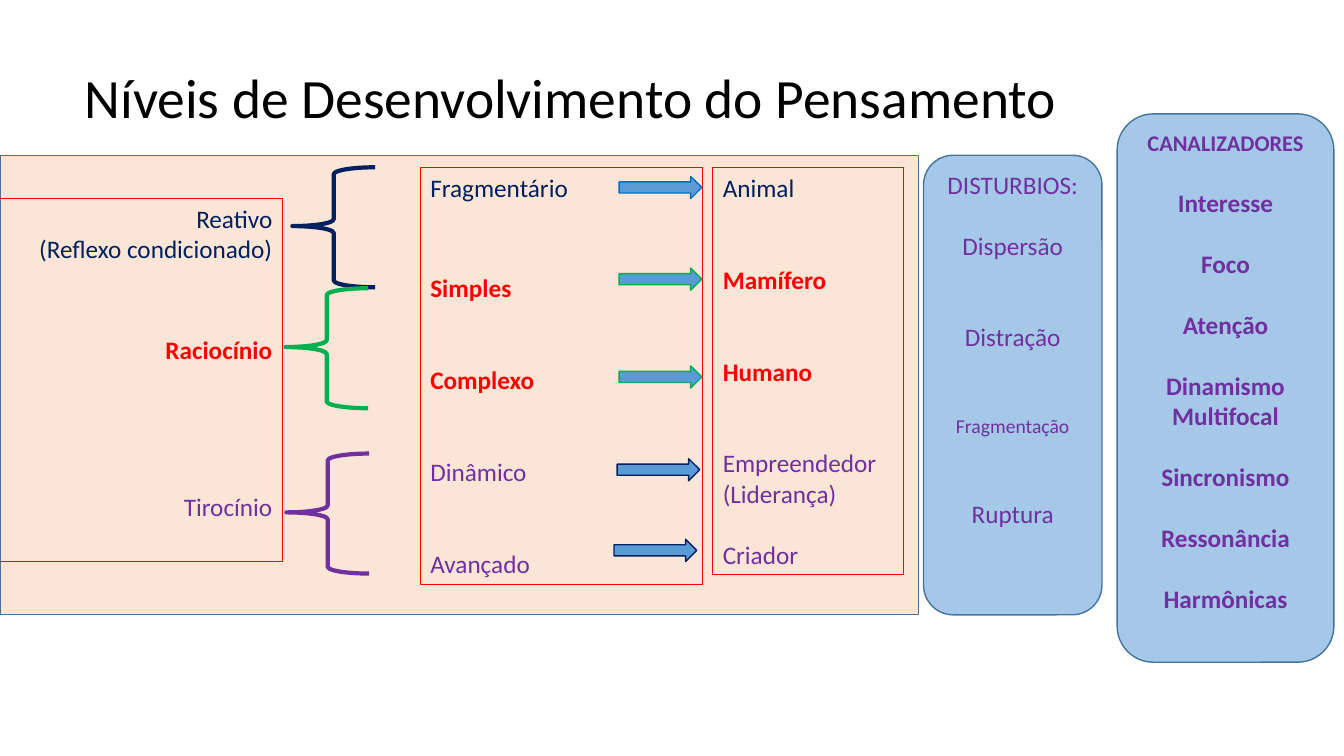
import pptx
import pptx.util
import pptx.dml.color
import pptx.enum.shapes
import pptx.enum.text
import pptx.oxml.ns
import lxml.etree

Inches = pptx.util.Inches
Pt = pptx.util.Pt
SHAPE = pptx.enum.shapes.MSO_SHAPE
ALIGN = pptx.enum.text.PP_ALIGN
ANCHOR = pptx.enum.text.MSO_ANCHOR

COLORS = {
    "black": "000000", "peach": "FBE5D6", "blue": "5B9BD5", "edge": "43739E",
    "red": "FF0000", "navy": "002060", "purple": "7030A0",
    "green": "00B050", "sky": "0070C0",
}
LINE = 22

LEVELS = [
    ("Reativo", "navy", 0), ("(Reflexo condicionado)", "navy", 0),
    ("Raciocínio", "red", 50), ("Tirocínio", "purple", 91),
]
THOUGHTS = [
    ("Fragmentário", "navy", 0), ("Simples", "red", 50),
    ("Complexo", "red", 2 * LINE), ("Dinâmico", "purple", 2 * LINE),
    ("Avançado", "purple", 2 * LINE),
]
STAGES = [
    ("Animal", "navy", 0), ("Mamífero", "red", 2 * LINE),
    ("Humano", "red", 2 * LINE), ("Empreendedor", "purple", 2 * LINE),
    ("(Liderança)", "purple", 0), ("Criador", "purple", LINE),
]
DISTURBANCES = [
    ("DISTURBIOS:", "purple", 0), ("Dispersão", "purple", LINE),
    ("Distração", "purple", 2 * LINE), ("Fragmentação", "purple", 2 * LINE),
    ("Ruptura", "purple", 2 * LINE),
]
CHANNELS = [
    ("CANALIZADORES", "purple", 0), ("Interesse", "purple", LINE),
    ("Foco", "purple", LINE), ("Atenção", "purple", LINE),
    ("Dinamismo", "purple", LINE), ("Multifocal", "purple", 0),
    ("Sincronismo", "purple", LINE), ("Ressonância", "purple", LINE),
    ("Harmônicas", "purple", LINE),
]
SMALL_SIZES = {"Fragmentação": 14, "CANALIZADORES": 16}
BRACES = [(2.9, 1.66, "navy"), (2.83, 2.86, "green"), (2.84, 4.5, "purple")]
ARROWS = [
    (6.14, 1.75, "sky"), (6.14, 2.66, "green"), (6.14, 3.63, "green"),
    (6.12, 4.55, "navy"), (6.09, 5.35, "navy"),
]


def rgb(name):
    """Return the named colour."""
    return pptx.dml.color.RGBColor.from_string(COLORS[name])


def format_run(r, size, color, bold=False):
    """Set the font of a run."""
    r.font.name = "Calibri"
    r.font.size = Pt(size)
    r.font.bold = bold
    r.font.color.rgb = rgb(color)


def add_title(s, text):
    """Place and format the slide title."""
    sp = s.shapes.title
    sp.left, sp.top = Inches(0.74), Inches(0.67)
    sp.width, sp.height = Inches(9.97), Inches(0.65)
    tf = sp.text_frame
    tf.text = text
    tf.auto_size = pptx.enum.text.MSO_AUTO_SIZE.NONE
    tf.vertical_anchor = ANCHOR.MIDDLE
    p = tf.paragraphs[0]
    p.alignment = ALIGN.LEFT
    p.line_spacing = 0.9
    format_run(p.runs[0], 39.6, "black")


def add_figure(s, kind, box, line, width, fill=None, alpha=None):
    """Add an outlined preset shape with an optional fill."""
    sp = s.shapes.add_shape(kind, *map(Inches, box))
    sp.shadow.inherit = False
    sp.line.color.rgb = rgb(line)
    sp.line.width = Pt(width)
    if fill is None:
        sp.fill.background()
        return sp
    sp.fill.solid()
    sp.fill.fore_color.rgb = rgb(fill)
    if alpha is not None:
        qn = pptx.oxml.ns.qn
        clr = sp._element.spPr.find(qn("a:solidFill")).find(qn("a:srgbClr"))
        lxml.etree.SubElement(clr, qn("a:alpha")).set("val", str(alpha * 1000))
    return sp


def write_entries(sp, entries, align, all_bold=False):
    """Write spaced coloured entries from the top of a shape."""
    tf = sp.text_frame
    tf.word_wrap = True
    tf.vertical_anchor = ANCHOR.TOP
    tf.text = "\n".join(text for text, color, gap in entries)
    for p, (text, color, gap) in zip(tf.paragraphs, entries):
        p.alignment = align
        if gap:
            p.space_before = Pt(gap)
        format_run(p.runs[0], SMALL_SIZES.get(text, 18), color,
                   all_bold or color == "red")


def add_column(s, box, entries, align=ALIGN.LEFT):
    """Add a red-framed column of entries."""
    sp = add_figure(s, SHAPE.RECTANGLE, box, "red", 0.75)
    write_entries(sp, entries, align)


def add_card(s, box, entries, bold=False):
    """Add a translucent rounded card of centred entries."""
    sp = add_figure(s, SHAPE.ROUNDED_RECTANGLE, box, "edge", 1, "blue", 54)
    write_entries(sp, entries, ALIGN.CENTER, bold)


def add_brace(s, left, top, color):
    """Add a left brace."""
    sp = add_figure(s, SHAPE.LEFT_BRACE, (left, top, 0.82, 1.19), color, 3)
    sp.adjustments[0] = 0.083
    sp.adjustments[1] = 0.49


def main():
    """Build the slide and save it."""
    prs = pptx.Presentation()
    prs.slide_width, prs.slide_height = Inches(13.33), Inches(7.5)
    s = prs.slides.add_slide(prs.slide_layouts[5])
    add_title(s, "Níveis de Desenvolvimento do Pensamento")
    add_figure(s, SHAPE.RECTANGLE, (0, 1.54, 9.11, 4.56), "edge", 1, "peach")
    add_column(s, (0, 1.97, 2.8, 3.6), LEVELS, ALIGN.RIGHT)
    add_column(s, (4.17, 1.66, 2.8, 4.14), THOUGHTS)
    add_column(s, (7.07, 1.66, 1.89, 4.04), STAGES)
    for left, top, color in BRACES:
        add_brace(s, left, top, color)
    for left, top, color in ARROWS:
        add_figure(s, SHAPE.RIGHT_ARROW, (left, top, 0.82, 0.22), color, 1, "blue")
    add_card(s, (9.16, 1.54, 1.77, 4.56), DISTURBANCES)
    add_card(s, (11.08, 1.13, 2.15, 5.44), CHANNELS, bold=True)
    prs.save("out.pptx")


if __name__ == "__main__":
    main()
